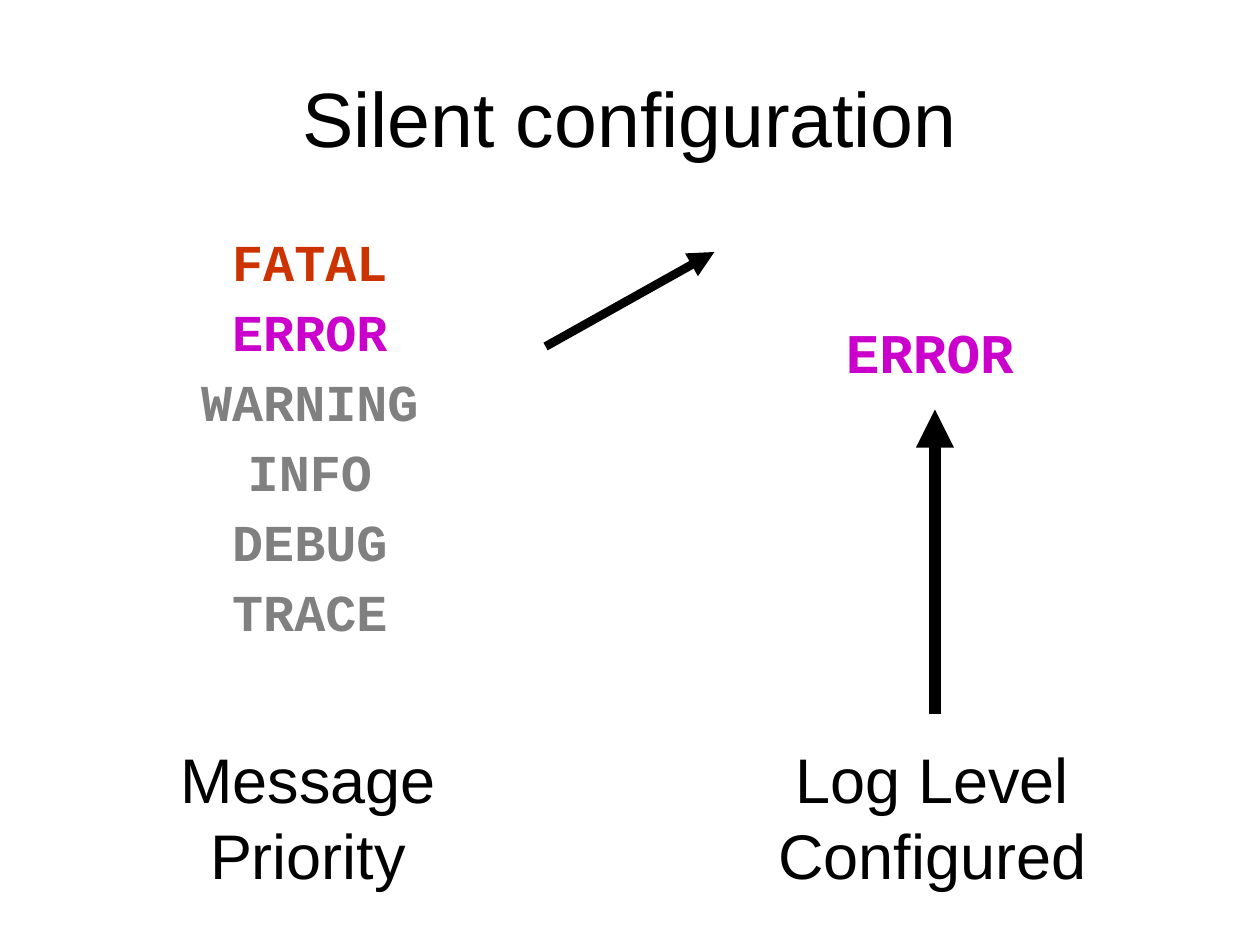
import pptx
import pptx.util
import pptx.dml.color
import pptx.enum.shapes
import pptx.enum.text
import pptx.oxml.ns
import lxml.etree

Inches = pptx.util.Inches
BLACK, RED, MAGENTA, GRAY = "000000", "CC3300", "CC00CC", "808080"


def color(hex_string):
    return pptx.dml.color.RGBColor.from_string(hex_string)


def add_text(slide, box, lines, font_name, size, bold=False, top_inset=0.05,
             line_spacing=1.0, space_before=0, middle=False):
    shape = slide.shapes.add_textbox(*[Inches(length) for length in box])
    frame = shape.text_frame
    frame.word_wrap = True
    frame.margin_top = Inches(top_inset)
    if middle:
        frame.vertical_anchor = pptx.enum.text.MSO_ANCHOR.MIDDLE
    for index, (text, text_color) in enumerate(lines):
        paragraph = frame.add_paragraph() if index else frame.paragraphs[0]
        paragraph.alignment = pptx.enum.text.PP_ALIGN.CENTER
        paragraph.line_spacing = line_spacing
        if index:
            paragraph.space_before = pptx.util.Pt(space_before)
        run = paragraph.add_run()
        run.text = text
        run.font.name = font_name
        run.font.size = pptx.util.Pt(size)
        run.font.bold = bold
        run.font.color.rgb = color(text_color)
    return frame


def add_arrow(slide, start, end, width):
    connector = slide.shapes.add_connector(
        pptx.enum.shapes.MSO_CONNECTOR.STRAIGHT,
        *[Inches(length) for length in start + end])
    connector.line.color.rgb = color(BLACK)
    connector.line.width = pptx.util.Pt(width)
    properties = connector.element.spPr
    line = properties.find(pptx.oxml.ns.qn("a:ln"))
    head = lxml.etree.SubElement(line, pptx.oxml.ns.qn("a:tailEnd"))
    head.set("type", "triangle")
    lxml.etree.SubElement(properties, pptx.oxml.ns.qn("a:effectLst"))


def add_label(slide, box, words):
    frame = add_text(slide, box, [(word, BLACK) for word in words], "Arial", 36)
    frame.word_wrap = False
    frame.auto_size = pptx.enum.text.MSO_AUTO_SIZE.SHAPE_TO_FIT_TEXT
    frame.margin_left = frame.margin_right = Inches(0.05)


def main():
    presentation = pptx.Presentation()
    presentation.slide_width = Inches(10)
    presentation.slide_height = Inches(7.5)
    slide = presentation.slides.add_slide(presentation.slide_layouts[6])

    add_text(slide, (0.5, 0.3, 9, 1.25), [("Silent configuration", BLACK)],
             "Arial", 44, middle=True)
    add_text(slide, (6.17, 1.83, 2.42, 3.75), [("ERROR", MAGENTA)],
             "Courier New", 32, bold=True, top_inset=0.69)
    add_label(slide, (6.08, 5.83, 2.64, 1.3), ["Log Level", "Configured"])
    add_label(slide, (1.33, 5.83, 2.23, 1.3), ["Message", "Priority"])

    priorities = [("FATAL", RED), ("ERROR", MAGENTA)]
    priorities += [(name, GRAY) for name in ("WARNING", "INFO", "DEBUG", "TRACE")]
    add_text(slide, (1.25, 1.83, 2.42, 3.75), priorities, "Courier New", 29.6,
             bold=True, line_spacing=0.9, space_before=8)

    add_arrow(slide, (7.42, 5.67), (7.42, 3.25), 7.25)
    add_arrow(slide, (4.33, 2.75), (5.67, 2), 5)
    presentation.save("out.pptx")


if __name__ == "__main__":
    main()
